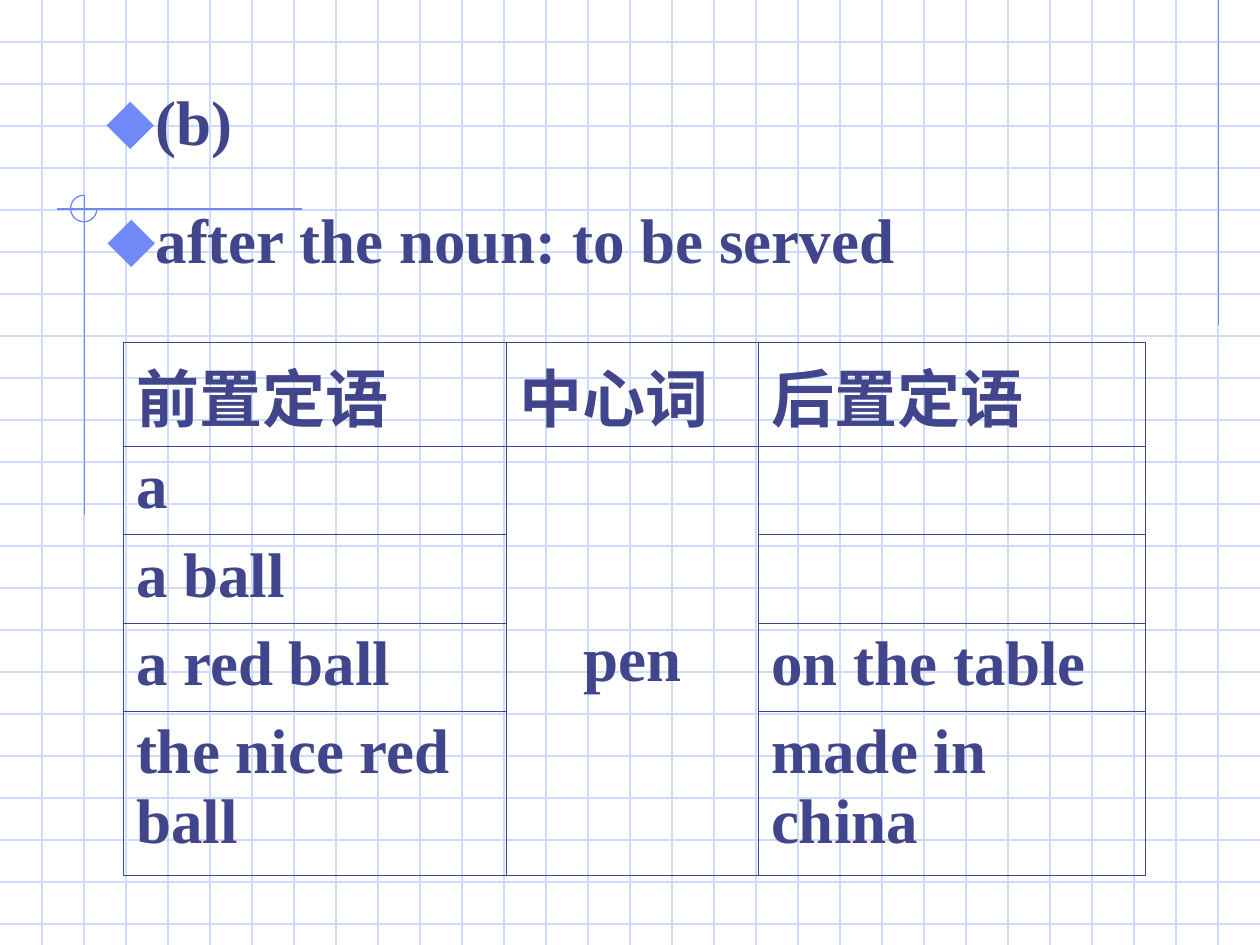
from lxml.etree import SubElement
from pptx import Presentation
from pptx.dml.color import RGBColor
from pptx.enum.shapes import MSO_CONNECTOR, MSO_SHAPE
from pptx.enum.text import MSO_ANCHOR, MSO_AUTO_SIZE, PP_ALIGN
from pptx.oxml.ns import qn
from pptx.util import Inches, Pt

INK = RGBColor(0x40, 0x45, 0x8C)
ACCENT = RGBColor(0x6F, 0x89, 0xF7)
GRID = RGBColor(0xCF, 0xDB, 0xFD)
FONT = "Times New Roman"
BULLET_FONT = "Arial"
WIDTH, HEIGHT = 10, 7.5

ROWS = [
    ["前置定语", "中心词", "后置定语"],
    ["a", "pen", ""],
    ["a ball", "", ""],
    ["a red ball", "", "on the table"],
    ["the nice red ball", "", "made in china"],
]
COLUMN_WIDTHS = [3.04, 2, 3.07]
ROW_HEIGHTS = [0.7, 0.7, 0.7, 0.7, 1.3]


def add_rule(slide, x1, y1, x2, y2, color):
    rule = slide.shapes.add_connector(
        MSO_CONNECTOR.STRAIGHT, Inches(x1), Inches(y1), Inches(x2), Inches(y2))
    rule.line.color.rgb = color
    rule.line.width = Pt(0.75)
    SubElement(rule._element.spPr, qn("a:effectLst"))


def add_grid(slide, width, height, per_inch=3):
    for step in range(1, int(height * per_inch) + 1):
        add_rule(slide, 0, step / per_inch, width, step / per_inch, GRID)
    for step in range(1, int(width * per_inch)):
        add_rule(slide, step / per_inch, 0, step / per_inch, height, GRID)


def add_corner_marks(slide):
    add_rule(slide, 9.67, 0, 9.67, 2.58, ACCENT)
    add_rule(slide, 2.4, 1.66, 0.45, 1.66, ACCENT)
    add_rule(slide, 0.67, 1.55, 0.67, 4.09, ACCENT)
    arc = slide.shapes.add_shape(
        MSO_SHAPE.ARC, Inches(0.56), Inches(1.55), Inches(0.21), Inches(0.21))
    arc.adjustments[0] = 0
    arc.adjustments[1] = 162
    arc.shadow.inherit = False
    arc.fill.background()
    arc.line.color.rgb = ACCENT
    arc.line.width = Pt(0.75)


def format_text(paragraph):
    paragraph.font.size = Pt(36)
    for run in paragraph.runs:
        run.font.name = FONT
        run.font.size = Pt(36)
        run.font.bold = True
        run.font.color.rgb = INK


def fill_bullet(holder, text, left, top, width, height):
    holder.left, holder.top = Inches(left), Inches(top)
    holder.width, holder.height = Inches(width), Inches(height)
    frame = holder.text_frame
    frame.word_wrap = True
    frame.auto_size = MSO_AUTO_SIZE.NONE
    frame.text = text
    paragraph = frame.paragraphs[0]
    paragraph.space_before = Pt(0)
    properties = paragraph._p.get_or_add_pPr()
    properties.set("marL", str(Inches(0.38)))
    properties.set("indent", str(-Inches(0.38)))
    bullet_color = SubElement(properties, qn("a:buClr"))
    SubElement(bullet_color, qn("a:srgbClr"), val=str(ACCENT))
    SubElement(properties, qn("a:buSzPct"), val="110000")
    SubElement(properties, qn("a:buFont"), typeface=BULLET_FONT)
    SubElement(properties, qn("a:buChar"), char="⬥")
    format_text(paragraph)


def add_borders(cell):
    properties = cell._tc.get_or_add_tcPr()
    for side in ("lnL", "lnR", "lnT", "lnB"):
        border = SubElement(properties, qn(f"a:{side}"), w=str(Pt(0.45)))
        fill = SubElement(border, qn("a:solidFill"))
        SubElement(fill, qn("a:srgbClr"), val=str(INK))


def add_phrase_table(slide, left, top):
    table = slide.shapes.add_table(
        len(ROWS), len(COLUMN_WIDTHS), Inches(left), Inches(top),
        Inches(sum(COLUMN_WIDTHS)), Inches(sum(ROW_HEIGHTS))).table
    table.first_row = False
    table.horz_banding = False
    for column, width in zip(table.columns, COLUMN_WIDTHS):
        column.width = Inches(width)
    for row, height, words in zip(table.rows, ROW_HEIGHTS, ROWS):
        row.height = Inches(height)
        for cell, word in zip(row.cells, words):
            add_borders(cell)
            cell.fill.background()
            if word:
                cell.text = word
                format_text(cell.text_frame.paragraphs[0])
    head_noun = table.cell(1, 1)
    head_noun.merge(table.cell(4, 1))
    head_noun.vertical_anchor = MSO_ANCHOR.MIDDLE
    head_noun.text_frame.paragraphs[0].alignment = PP_ALIGN.CENTER


def main():
    deck = Presentation()
    deck.slide_width, deck.slide_height = Inches(WIDTH), Inches(HEIGHT)
    slide = deck.slides.add_slide(deck.slide_layouts[1])
    title = slide.shapes.title._element
    title.getparent().remove(title)
    rule_text = slide.placeholders[1]

    add_grid(slide, WIDTH, HEIGHT)
    add_corner_marks(slide)
    slide.shapes._spTree.append(rule_text._element)
    fill_bullet(rule_text, "after the noun: to be served", 0.75, 1.54, 6.85, 0.7)
    add_phrase_table(slide, 0.98, 2.72)
    item_mark = slide.shapes.add_textbox(0, 0, 0, 0)
    fill_bullet(item_mark, "(b)", 0.75, 0.61, 1.34, 0.7)
    deck.save("out.pptx")


if __name__ == "__main__":
    main()
